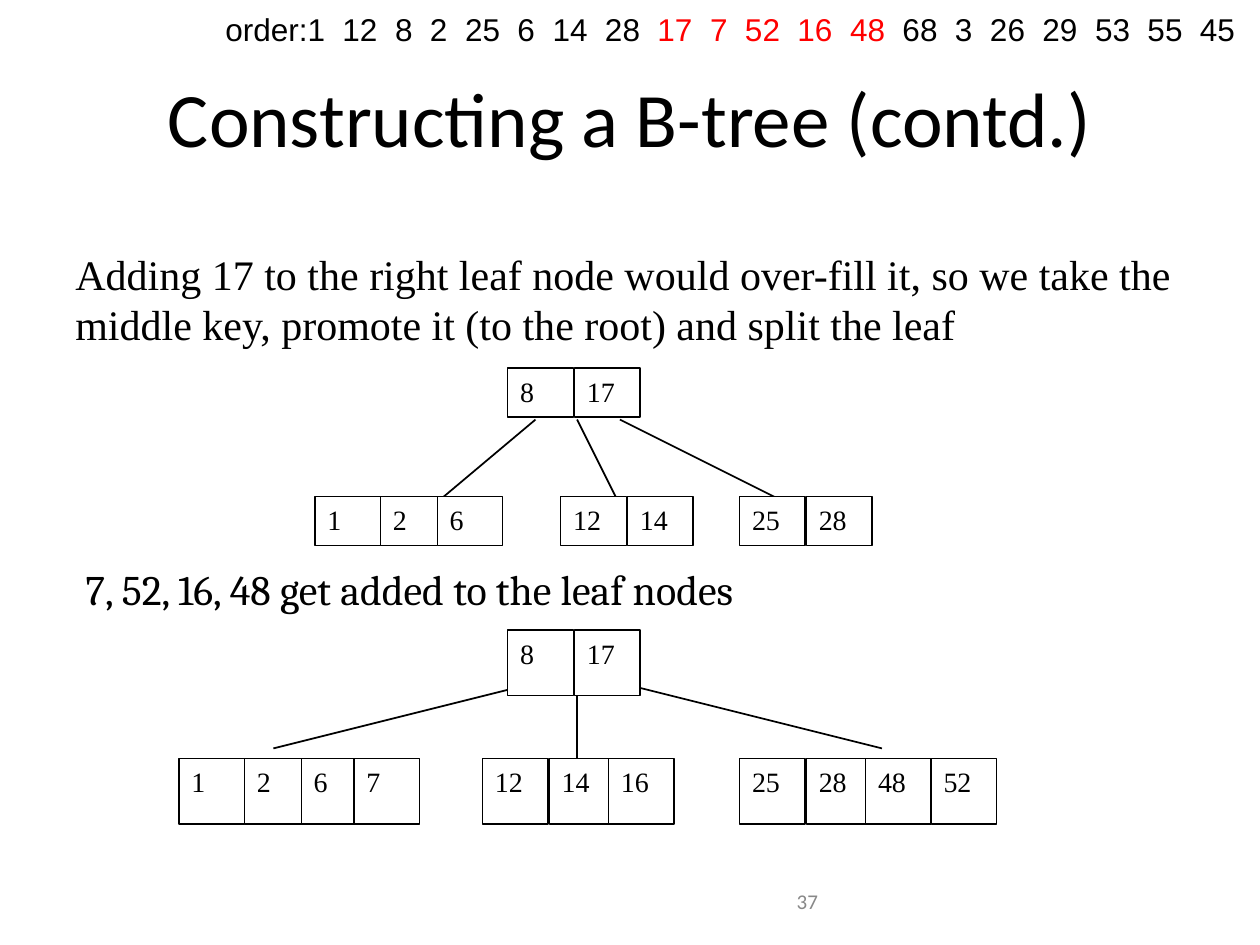
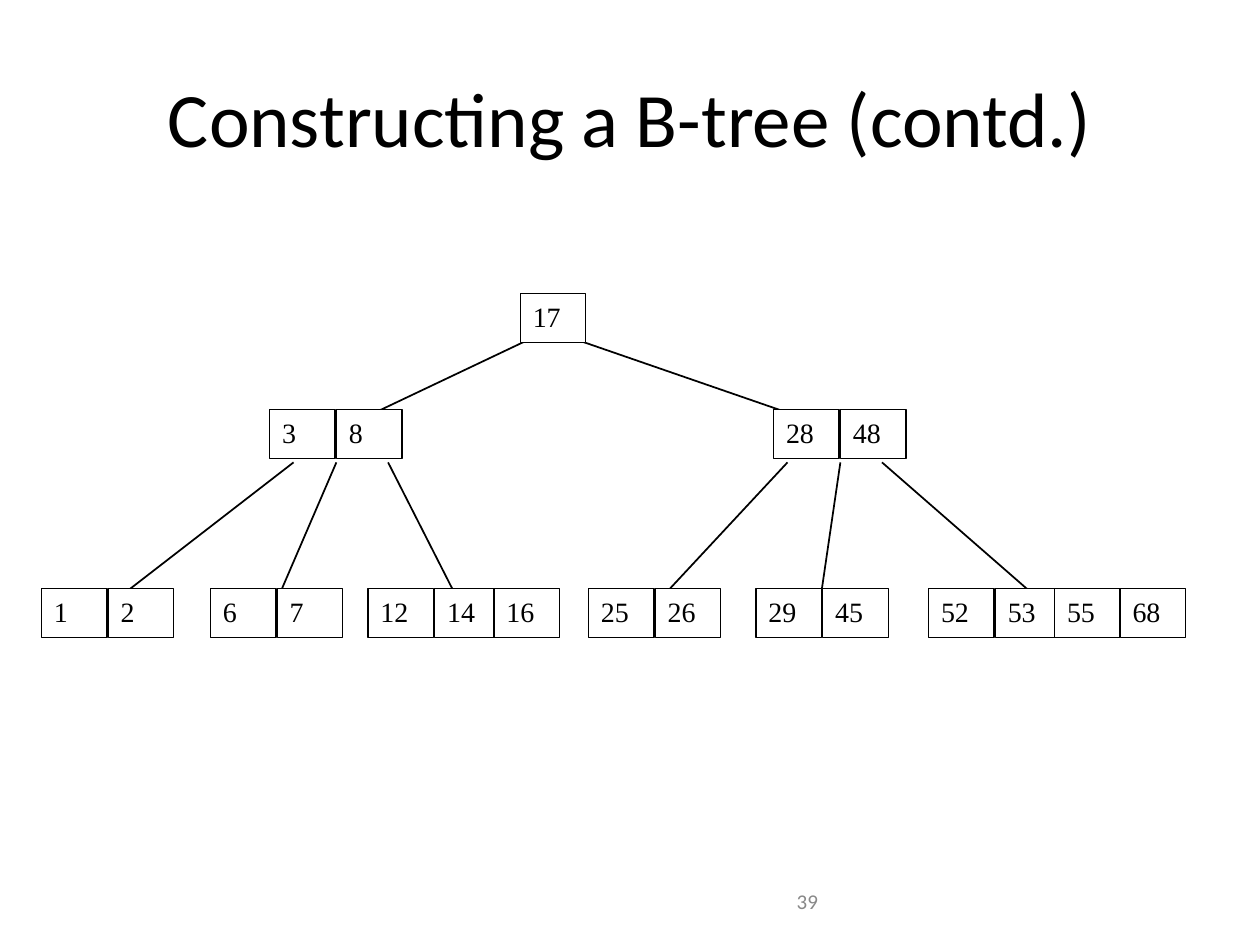
"""Builds two slides that show how keys are added to a B-tree."""
from dataclasses import dataclass

from lxml import etree
from pptx import Presentation
from pptx.dml.color import RGBColor
from pptx.enum.shapes import MSO_CONNECTOR, MSO_SHAPE
from pptx.enum.text import MSO_ANCHOR, PP_ALIGN
from pptx.oxml.ns import qn
from pptx.util import Inches, Pt

LINE, RECT = MSO_CONNECTOR.STRAIGHT, MSO_SHAPE.RECTANGLE
TOP, MIDDLE = MSO_ANCHOR.TOP, MSO_ANCHOR.MIDDLE
LEFT, CENTER, RIGHT = PP_ALIGN.LEFT, PP_ALIGN.CENTER, PP_ALIGN.RIGHT


@dataclass(frozen=True)
class Theme:
    ink: RGBColor = RGBColor(0, 0, 0)
    paper: RGBColor = RGBColor(255, 255, 255)
    mark: RGBColor = RGBColor(255, 0, 0)
    gray: RGBColor = RGBColor(0x88, 0x88, 0x88)
    head: str = "Calibri"
    serif: str = "Times New Roman"
    book: str = "Cambria"
    sans: str = "Arial"
    title: int = 44
    body: int = 24
    order: int = 18
    key: int = 16
    foot: int = 12
    edge: float = 0.75
    link: float = 1


class Deck:
    WIDE = (0, 0.53, 1, 1.52)
    TIGHT = (0, 0.52, 0.97, 1.39)
    CELL = 0.52
    DIGIT = Pt(10)

    def __init__(self, theme):
        self.theme = theme
        self.show = Presentation()
        self.show.slide_width = Inches(10)
        self.show.slide_height = Inches(7.5)
        self.slide = None

    def start(self, title, page):
        t = self.theme
        self.slide = self.show.slides.add_slide(self.show.slide_layouts[5])
        shape = self.slide.shapes.title
        shape.left, shape.top = Inches(0.5), Inches(0.3)
        shape.width, shape.height = Inches(9), Inches(1.25)
        self.label(shape, title, t.head, t.title, t.ink, CENTER, MIDDLE)
        self.text((3.42, 6.95, 3.17, 0.4), page, t.head, t.foot, t.gray,
                  RIGHT, MIDDLE)

    def label(self, shape, text, face, size, color, align=LEFT, anchor=TOP):
        frame = shape.text_frame
        frame.word_wrap = True
        frame.vertical_anchor = anchor
        para = frame.paragraphs[0]
        para.text = text
        para.alignment = align
        para.font.name, para.font.size = face, Pt(size)
        para.font.color.rgb = color

    def text(self, area, *args):
        box = self.slide.shapes.add_textbox(*map(Inches, area))
        self.label(box, *args)

    def order(self, parts):
        t = self.theme
        box = self.slide.shapes.add_textbox(
            Inches(1.69), Inches(0.03), Inches(8.3), Inches(0.4))
        box.text_frame.word_wrap = True
        para = box.text_frame.paragraphs[0]
        stops = etree.SubElement(para._p.get_or_add_pPr(), qn("a:tabLst"))
        spot = Inches(0.93)
        keys = [key for part, _ in parts for key in part.split()]
        for key in keys[1:]:
            etree.SubElement(stops, qn("a:tab"), pos=str(spot), algn="l")
            spot += (len(key) + 1) * self.DIGIT
        para.font.name, para.font.size = t.sans, Pt(t.order)
        for i, (part, color) in enumerate(parts):
            run = para.add_run()
            run.text = ("\t" if i else "") + "\t".join(part.split())
            run.font.color.rgb = color

    def links(self, top, low, ends):
        for start, stop in ends:
            self.link(start, top, stop, low)

    def link(self, *ends):
        line = self.slide.shapes.add_connector(LINE, *map(Inches, ends))
        line.line.color.rgb = self.theme.ink
        line.line.width = Pt(self.theme.link)
        etree.SubElement(line._element.spPr, qn("a:effectLst"))

    def node(self, left, top, keys, tall=0.39, steps=WIDE):
        t = self.theme
        for key, step in zip(keys, steps):
            cell = self.slide.shapes.add_shape(
                RECT, Inches(left + step), Inches(top),
                Inches(self.CELL), Inches(tall))
            cell.shadow.inherit = False
            cell.fill.solid()
            cell.fill.fore_color.rgb = t.paper
            cell.line.color.rgb = t.ink
            cell.line.width = Pt(t.edge)
            self.label(cell, str(key), t.serif, t.key, t.ink)


def split(deck):
    t = deck.theme
    deck.links(3.33, 4.17, [(4.25, 3.25), (4.58, 5)])
    deck.link(4.92, 3.33, 6.42, 4.08)
    deck.text((0.5, 1.92, 9.17, 0.91),
              "Adding 17 to the right leaf node would over-fill it, so we "
              "take the middle key, promote it (to the root) and split the "
              "leaf", t.serif, t.body, t.ink)
    deck.node(4.03, 2.92, [8, 17])
    deck.node(2.5, 3.94, [1, 2, 6], steps=deck.TIGHT)
    deck.node(4.45, 3.94, [12, 14])
    deck.node(5.87, 3.94, [25, 28])
    deck.text((0.58, 4.42, 8.85, 0.52),
              "7, 52, 16, 48 get added to the leaf nodes",
              t.book, t.body, t.ink)
    deck.links(5.42, 5.94, [(4.25, 2.17), (4.92, 7)])
    deck.link(4.58, 5.42, 4.58, 6.46)
    tall = deck.CELL
    deck.node(4.03, 5, [8, 17], tall)
    deck.node(1.42, 6.02, [1, 2, 6, 7], tall, deck.TIGHT)
    deck.node(3.83, 6.02, [12, 14, 16], tall)
    deck.node(5.87, 6.02, [25, 28, 48, 52], tall)
    deck.order([("order:1 12 8 2 25 6 14 28", t.ink),
                ("17 7 52 16 48", t.mark),
                ("68 3 26 29 53 55 45", t.ink)])


def final(deck):
    deck.links(3.67, 4.83, [(2.33, 0.83), (2.67, 2.17), (3.08, 3.67),
                            (6.25, 5.17), (6.67, 6.5), (7, 8.33)])
    deck.links(2.67, 3.42, [(4.25, 2.67), (4.5, 6.67)])
    deck.node(4.13, 2.33, [17])
    for left, keys in [(2.14, [3, 8]), (6.14, [28, 48])]:
        deck.node(left, 3.25, keys)
    for left, keys in [(0.33, [1, 2]), (1.67, [6, 7]), (2.92, [12, 14, 16]),
                       (4.67, [25, 26]), (6, [29, 45]),
                       (7.37, [52, 53, 55, 68])]:
        deck.node(left, 4.67, keys)


def main():
    deck = Deck(Theme())
    for page, draw in [("37", split), ("39", final)]:
        deck.start("Constructing a B-tree (contd.)", page)
        draw(deck)
    deck.show.save("out.pptx")


if __name__ == "__main__":
    main()
